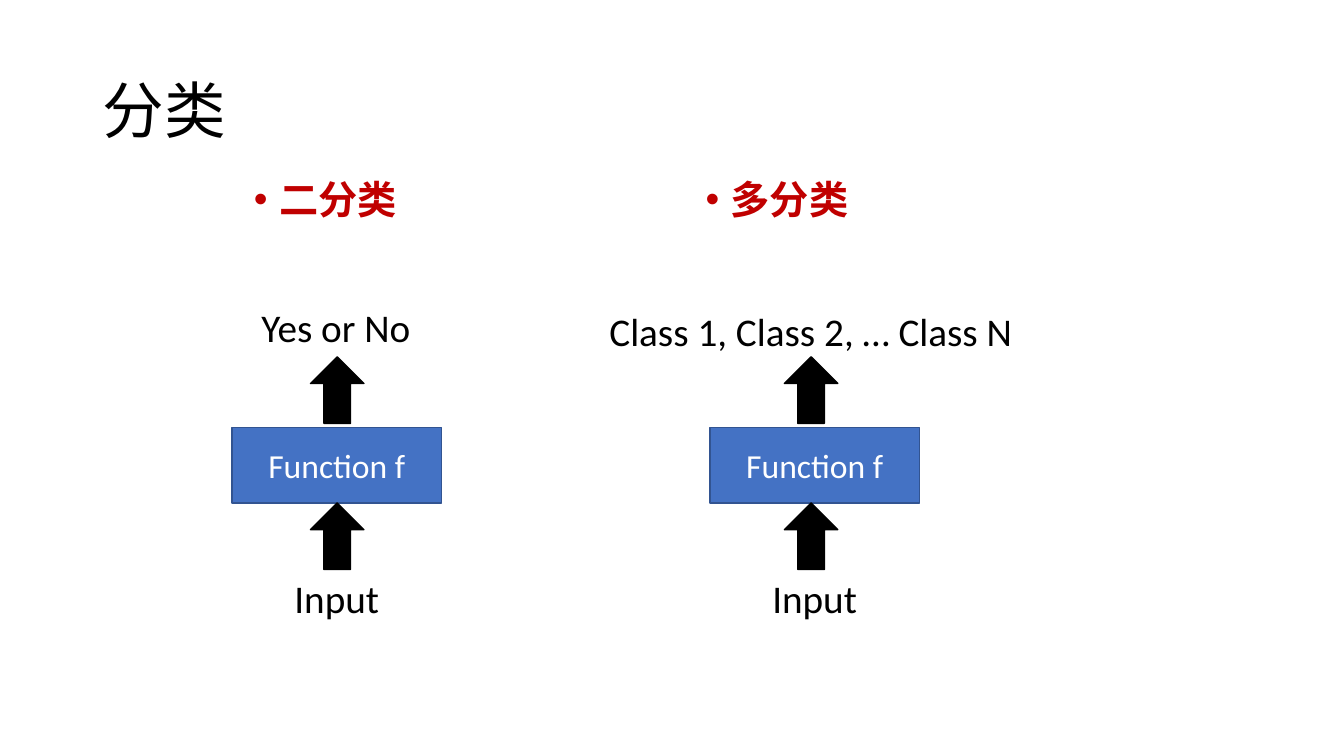
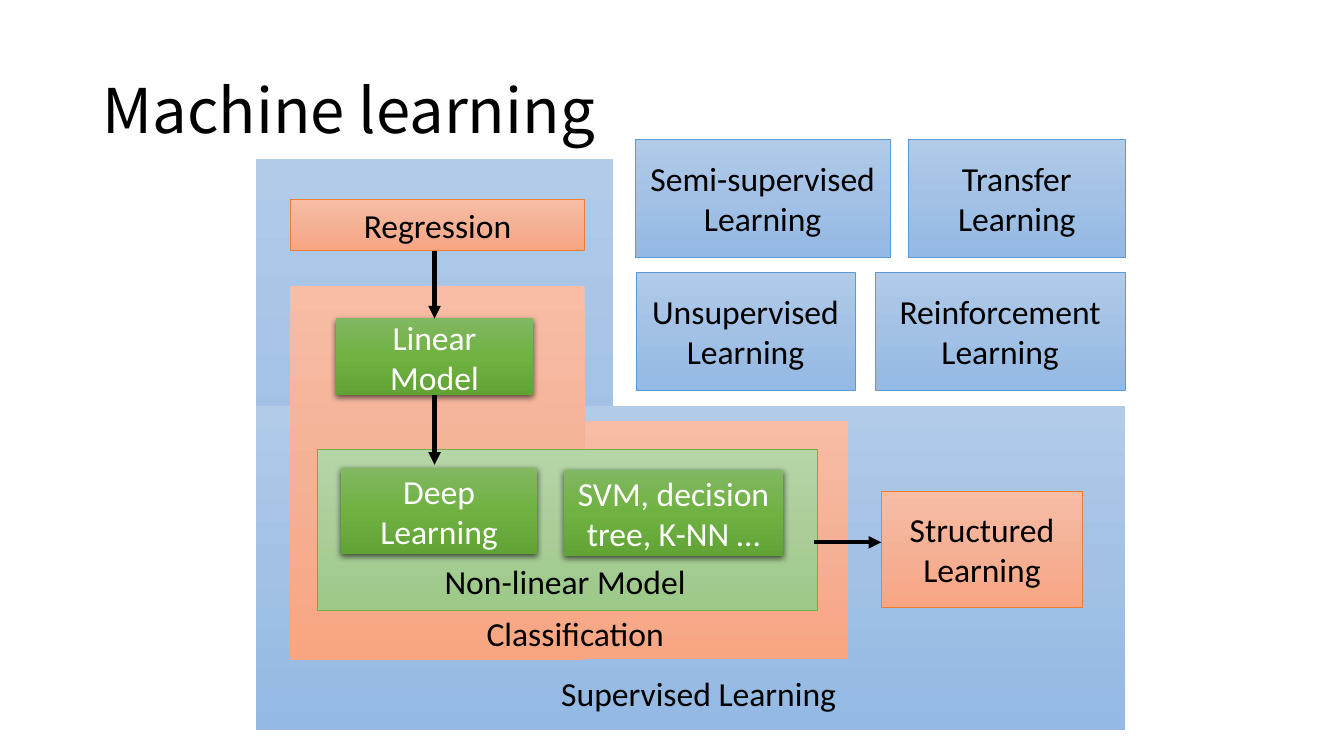
from copy import deepcopy

from lxml import etree
from pptx import Presentation
from pptx import util as u
from pptx.dml.color import RGBColor
from pptx.enum import shapes, text
from pptx.oxml.ns import qn

PX = 9144
SANS = "Calibri"
CJK = "Noto Sans CJK SC"
COLORS = {
    "ink": "000000",
    "paper": "FFFFFF",
    "accent": "C00000",
    "function": "4472C4",
    "function_line": "325491",
    "blue_line": "5B9BD5",
    "orange_line": "ED7D31",
    "pale_green_line": "70AD47",
}
GRADIENTS = {
    "blue": ("B1CBE9", "A3C1E5", "93B9E4"),
    "orange": ("F7BDA5", "F5B196", "F8A582"),
    "pale_green": ("B5D5A7", "AACE9A", "9CC987"),
    "green": ("81B861", "6FB242", "62A336"),
}


def px(*lengths):
    """Turn px lengths into EMU."""
    return [u.Emu(length * PX) for length in lengths]


def rgb(name):
    """Look up a colour of the palette."""
    return RGBColor.from_string(COLORS[name])


def within(box, left, top, width, height):
    """Place a part relative to the corner of its box."""
    return box[0] + left, box[1] + top, width, height


def write(frame, words, size, color="ink", font=SANS, align=text.PP_ALIGN.CENTER,
          anchor=text.MSO_ANCHOR.MIDDLE, spacing=None, bold=False, bullet=False):
    """Fill a text frame with one styled paragraph."""
    frame.word_wrap = True
    frame.vertical_anchor = anchor
    paragraph = frame.paragraphs[0]
    paragraph.text = words
    paragraph.alignment = align
    if spacing:
        paragraph.line_spacing = spacing
    if bullet:
        properties = paragraph._p.get_or_add_pPr()
        properties.set("marL", str(25 * PX))
        properties.set("indent", str(-25 * PX))
        etree.SubElement(properties, qn("a:buFont")).set("typeface", "Arial")
        etree.SubElement(properties, qn("a:buChar")).set("char", "•")
    style = paragraph.font
    style.size = u.Pt(size)
    style.bold = bold
    style.color.rgb = rgb(color)
    style.name = font
    etree.SubElement(style._element, qn("a:ea")).set("typeface", font)


def add_label(slide, box, words, size, **style):
    """Add a text box."""
    write(slide.shapes.add_textbox(*px(*box)).text_frame, words, size, **style)


def add_title(slide, words):
    """Add the slide title."""
    add_label(slide, (92, 40, 1150, 145), words, 44, font=CJK,
              align=text.PP_ALIGN.LEFT, spacing=0.9)


def add_solid(slide, kind, box, fill, line):
    """Add a flat shape with an outline."""
    shape = slide.shapes.add_shape(kind, *px(*box))
    shape.shadow.inherit = False
    shape.fill.solid()
    shape.fill.fore_color.rgb = rgb(fill)
    shape.line.color.rgb = rgb(line)
    shape.line.width = u.Pt(1)
    return shape


def add_panel(slide, box, hue, words="", outlined=True):
    """Add a rectangle with a vertical three-stop gradient."""
    panel = slide.shapes.add_shape(shapes.MSO_SHAPE.RECTANGLE, *px(*box))
    panel.shadow.inherit = False
    panel.fill.gradient()
    panel.fill.gradient_angle = 270
    stop_list = panel._element.spPr.find(".//" + qn("a:gsLst"))
    stop_list.insert(1, deepcopy(stop_list[0]))
    for index, (stop, tint) in enumerate(zip(panel.fill.gradient_stops, GRADIENTS[hue])):
        stop.position = index / 2
        stop.color.rgb = RGBColor.from_string(tint)
    if outlined:
        panel.line.color.rgb = rgb(hue + "_line")
        panel.line.width = u.Pt(0.5)
    else:
        panel.line.fill.background()
    if words:
        write(panel.text_frame, words, 24, "paper" if hue == "green" else "ink")
    return panel


def add_model(slide, box, words):
    """Add a green model tile with a soft shadow."""
    model = add_panel(slide, box, "green", words, outlined=False)
    effects = model._element.spPr.find(qn("a:effectLst"))
    shadow = etree.SubElement(effects, qn("a:outerShdw"), blurRad="57150", dist="19050",
                              dir="5400000", algn="ctr", rotWithShape="0")
    tint = etree.SubElement(shadow, qn("a:srgbClr"), val=COLORS["ink"])
    etree.SubElement(tint, qn("a:alpha"), val="63000")
    return model


def add_arrow(slide, box, start, end):
    """Add a straight arrow between two points of a box."""
    points = (box[0] + start[0], box[1] + start[1], box[0] + end[0], box[1] + end[1])
    arrow = slide.shapes.add_connector(shapes.MSO_CONNECTOR.STRAIGHT, *px(*points))
    arrow.line.color.rgb = rgb("ink")
    arrow.line.width = u.Pt(3)
    etree.SubElement(arrow.line._get_or_add_ln(), qn("a:tailEnd"), type="triangle")
    etree.SubElement(arrow._element.spPr, qn("a:effectLst"))
    return arrow


def add_classifier(slide, box, heading, heading_left, output, output_box, arrow_left):
    """Draw one input-function-output column under its heading."""
    add_label(slide, within(box, heading_left, 0, 425, 476), heading, 28, color="accent",
              font=CJK, align=text.PP_ALIGN.LEFT, anchor=text.MSO_ANCHOR.TOP,
              spacing=0.9, bold=True, bullet=True)
    function = add_solid(slide, shapes.MSO_SHAPE.RECTANGLE, within(box, 0, 250, 208, 75),
                         "function", "function_line")
    write(function.text_frame, "Function f", 24, "paper")
    add_label(slide, within(box, -18, 391, 244, 57), "Input", 28)
    for top in (325, 180):
        add_solid(slide, shapes.MSO_SHAPE.UP_ARROW, within(box, arrow_left, top, 53, 66),
                  "ink", "ink")
    add_label(slide, within(box, *output_box), output, 28)


def add_supervised(slide, box):
    """Draw the supervised learning region with its nested models."""
    add_panel(slide, within(box, 0, 0, 354, 545), "blue", outlined=False)
    add_panel(slide, within(box, 0, 245, 862, 321), "blue", outlined=False)
    add_panel(slide, within(box, 71, 260, 516, 236), "orange", outlined=False)
    add_label(slide, within(box, 253, 505, 372, 50), "Supervised Learning", 24)
    add_panel(slide, within(box, 34, 40, 292, 50), "orange", "Regression")
    add_panel(slide, within(box, 34, 126, 292, 371), "orange", outlined=False)
    linear = add_model(slide, within(box, 79, 158, 196, 76), "Linear Model")
    add_panel(slide, within(box, 620, 329, 200, 116), "orange", "Structured Learning")
    add_label(slide, within(box, 205, 445, 223, 50), "Classification", 24)
    add_panel(slide, within(box, 61, 288, 496, 160), "pale_green")
    add_model(slide, within(box, 84, 306, 195, 86), "Deep Learning")
    add_model(slide, within(box, 305, 308, 218, 86), "SVM, decision tree, K-NN …")
    add_label(slide, within(box, 168, 393, 277, 50), "Non-linear Model", 24)
    add_arrow(slide, box, (177, 91), (177, 158)).end_connect(linear, 0)
    add_arrow(slide, box, (177, 234), (177, 303)).begin_connect(linear, 2)
    add_arrow(slide, box, (553, 380), (620, 380))


def add_other_learning(slide, box):
    """Draw the four other kinds of learning in two rows."""
    rows = (
        (("Semi-supervised Learning", 0, 253), ("Transfer Learning", 271, 215)),
        (("Unsupervised Learning", 1, 217), ("Reinforcement Learning", 238, 248)),
    )
    for row, tiles in enumerate(rows):
        for words, left, width in tiles:
            add_panel(slide, within(box, left, row * 132, width, 117), "blue", words)


def build_classification(slide):
    """Build the slide on two-class and many-class problems."""
    add_title(slide, "分类")
    add_classifier(slide, (230, 174), "二分类", 12, "Yes or No", (-3, 122, 212, 57), 78)
    add_classifier(slide, (704, 174), "多分类", -14, "Class 1, Class 2, … Class N",
                   (-115, 126, 430, 57), 74)


def build_machine_learning(slide):
    """Build the map of machine learning."""
    add_title(slide, "Machine learning")
    add_supervised(slide, (254, 158))
    add_other_learning(slide, (630, 138))


def main():
    """Build and save the presentation."""
    deck = Presentation()
    deck.slide_width, deck.slide_height = px(1333, 750)
    for build in (build_classification, build_machine_learning):
        build(deck.slides.add_slide(deck.slide_layouts[6]))
    deck.save("out.pptx")


if __name__ == "__main__":
    main()
